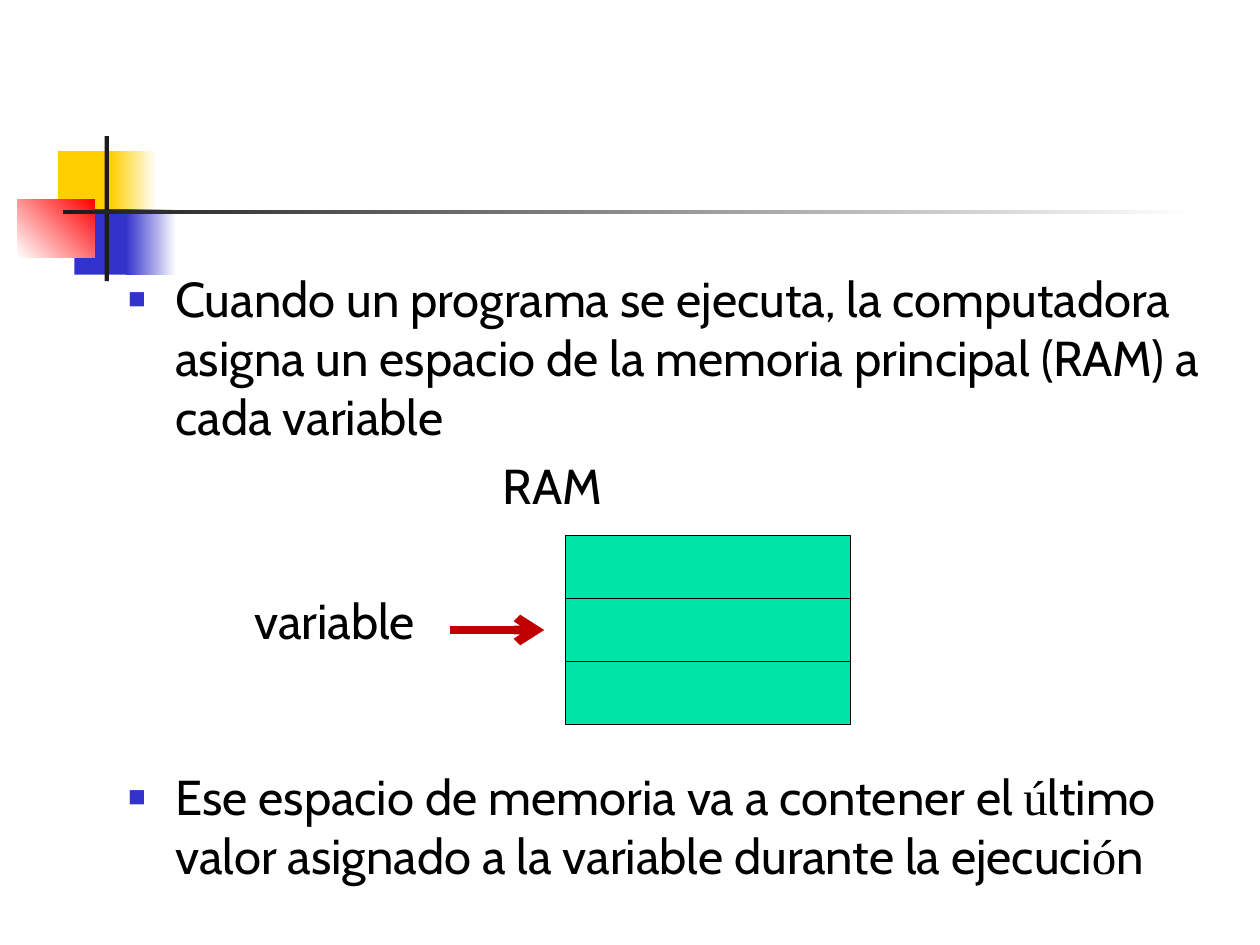
import pptx
import pptx.dml.color
import pptx.enum.shapes
import pptx.enum.text
import pptx.oxml.xmlchemy
import pptx.util

Pt = pptx.util.Pt
RGBColor = pptx.dml.color.RGBColor

WHITE = RGBColor(0xFF, 0xFF, 0xFF)
BLACK = RGBColor(0x00, 0x00, 0x00)
YELLOW = RGBColor(0xFF, 0xCF, 0x01)
BLUE = RGBColor(0x33, 0x33, 0xCC)
RED = RGBColor(0xFF, 0x00, 0x00)
CHARCOAL = RGBColor(0x1C, 0x1C, 0x1C)
GREEN = RGBColor(0x00, 0xE4, 0xA8)
DARK_RED = RGBColor(0xC0, 0x00, 0x00)

BODY_FONT = "Cabin"
ACCENT_FONT = "Times New Roman"
HANGING = {"marL": 27, "indent": -27}

ORNAMENTS = [
    ((33.1, 86.4, 34.6, 37.4), [YELLOW], 0),
    ((63.4, 86.4, 25.9, 37.4), [YELLOW, WHITE], 0),
    ((42.5, 119.5, 33.1, 37.4), [BLUE], 0),
    ((72, 119.5, 28.8, 37.4), [BLUE, WHITE], 0),
    ((10, 113.8, 44, 33.1), [WHITE, RED], 45),
    ((59.8, 77.8, 2.4, 82.8), [CHARCOAL], 0),
    ((36, 120.2, 648, 2.2), [CHARCOAL, WHITE], 0),
]

PARAGRAPHS = [
    ([("Cuando un programa se ejecuta, la computadora asigna un espacio de la "
       "memoria principal (RAM) a cada variable", BODY_FONT)], HANGING, 0, True),
    ([("RAM", BODY_FONT)], {"marL": 214, "indent": 0}, 5.6, False),
    ([("variable", BODY_FONT)], {"marL": 72, "indent": 0}, 43.7, False),
    ([("Ese espacio de memoria va a contener el ", BODY_FONT),
      ("ú", ACCENT_FONT),
      ("ltimo valor asignado a la variable durante la ejecuci", BODY_FONT),
      ("ó", ACCENT_FONT),
      ("n", BODY_FONT)], HANGING, 67.1, True),
]


def set_attributes(target, values):
    for name, value in values.items():
        setattr(target, name, value)


def add_xml(parent, tag, **attributes):
    element = pptx.oxml.xmlchemy.OxmlElement(tag)
    for name, value in attributes.items():
        element.set(name, str(value))
    parent.append(element)
    return element


def add_rectangle(page, bounds, colors, angle=0, outline=None):
    kind = pptx.enum.shapes.MSO_SHAPE.RECTANGLE
    box = page.shapes.add_shape(kind, *map(Pt, bounds))
    box.shadow.inherit = False
    if len(colors) == 1:
        box.fill.solid()
        box.fill.fore_color.rgb = colors[0]
    else:
        box.fill.gradient()
        box.fill.gradient_angle = angle
        for stop, color in zip(box.fill.gradient_stops, colors):
            stop.color.rgb = color
    if outline is None:
        box.line.fill.background()
    else:
        box.line.color.rgb = outline
        box.line.width = Pt(0.75)


def add_bullet(properties):
    color = add_xml(properties, "a:buClr")
    add_xml(color, "a:srgbClr", val=BLUE)
    add_xml(properties, "a:buSzPct", val=60000)
    add_xml(properties, "a:buFont", typeface="Arial")
    add_xml(properties, "a:buChar", char="■")


def add_body(page, bounds):
    frame = page.shapes.add_textbox(*map(Pt, bounds)).text_frame
    set_attributes(frame, {
        "word_wrap": True,
        "auto_size": pptx.enum.text.MSO_AUTO_SIZE.NONE,
        "vertical_anchor": pptx.enum.text.MSO_ANCHOR.TOP,
    })
    for index, (spans, indents, space, bulleted) in enumerate(PARAGRAPHS):
        para = frame.add_paragraph() if index else frame.paragraphs[0]
        para.space_before = Pt(space)
        properties = para._p.get_or_add_pPr()
        for name, value in indents.items():
            properties.set(name, str(int(Pt(value))))
        if bulleted:
            add_bullet(properties)
        for text, font in spans:
            span = para.add_run()
            span.text = text
            set_attributes(span.font, {"name": font, "size": Pt(28)})
            span.font.color.rgb = BLACK


def add_arrow(page, start, end):
    kind = pptx.enum.shapes.MSO_CONNECTOR.STRAIGHT
    arrow = page.shapes.add_connector(kind, *map(Pt, start + end))
    arrow.line.color.rgb = DARK_RED
    arrow.line.width = Pt(5)
    properties = arrow._element.spPr
    add_xml(properties.get_or_add_ln(), "a:tailEnd", type="arrow")
    add_xml(properties, "a:effectLst")


def main():
    deck = pptx.Presentation()
    set_attributes(deck, {"slide_width": Pt(720), "slide_height": Pt(540)})
    page = deck.slides.add_slide(deck.slide_layouts[6])
    for bounds, colors, angle in ORNAMENTS:
        add_rectangle(page, bounds, colors, angle)
    add_body(page, (66.2, 150, 639.4, 332.6))
    for row in range(3):
        add_rectangle(page, (323.3, 306 + 36 * row, 162.7, 36), [GREEN], outline=BLACK)
    add_arrow(page, (257, 360), (311, 360))
    deck.save("out.pptx")


if __name__ == "__main__":
    main()
